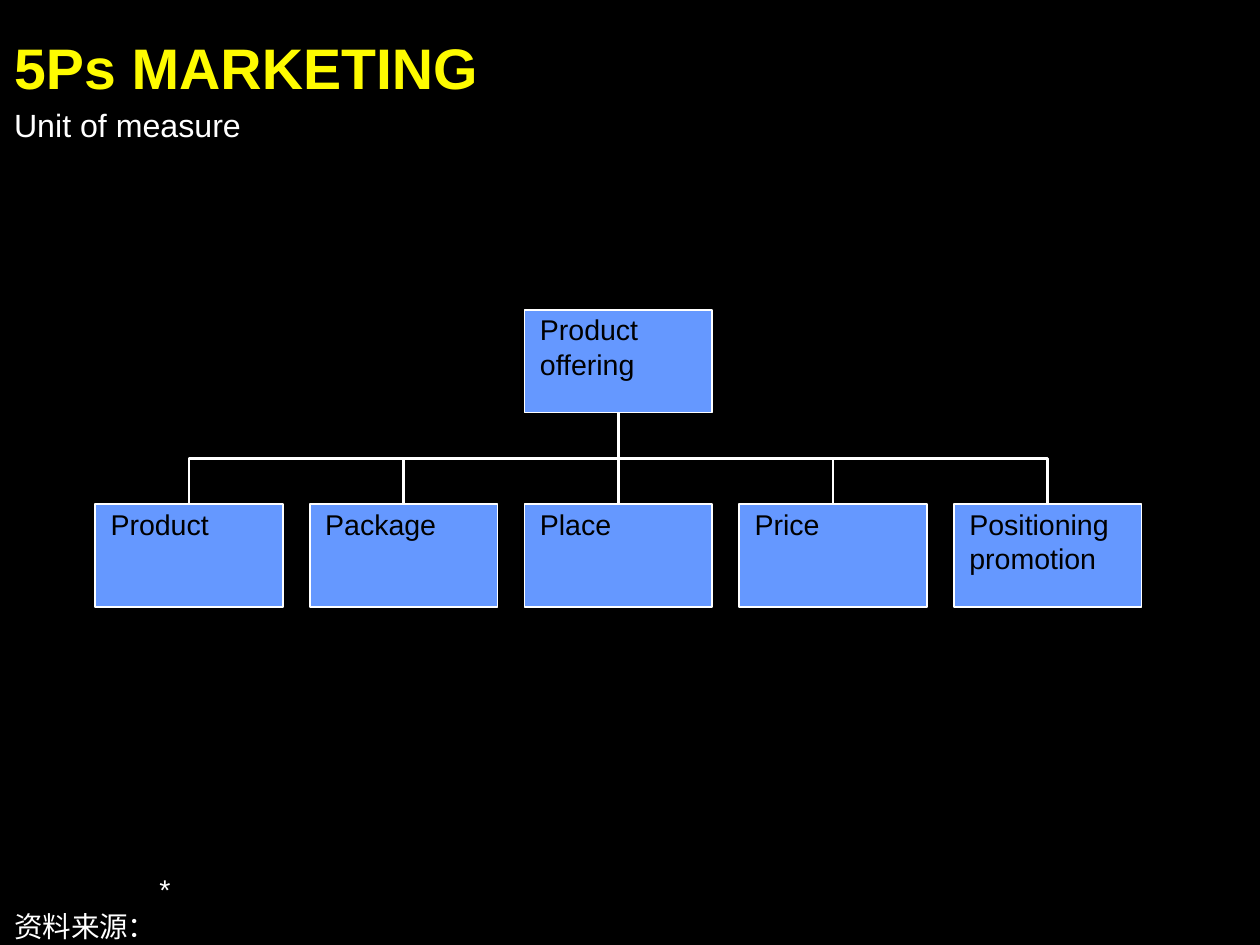
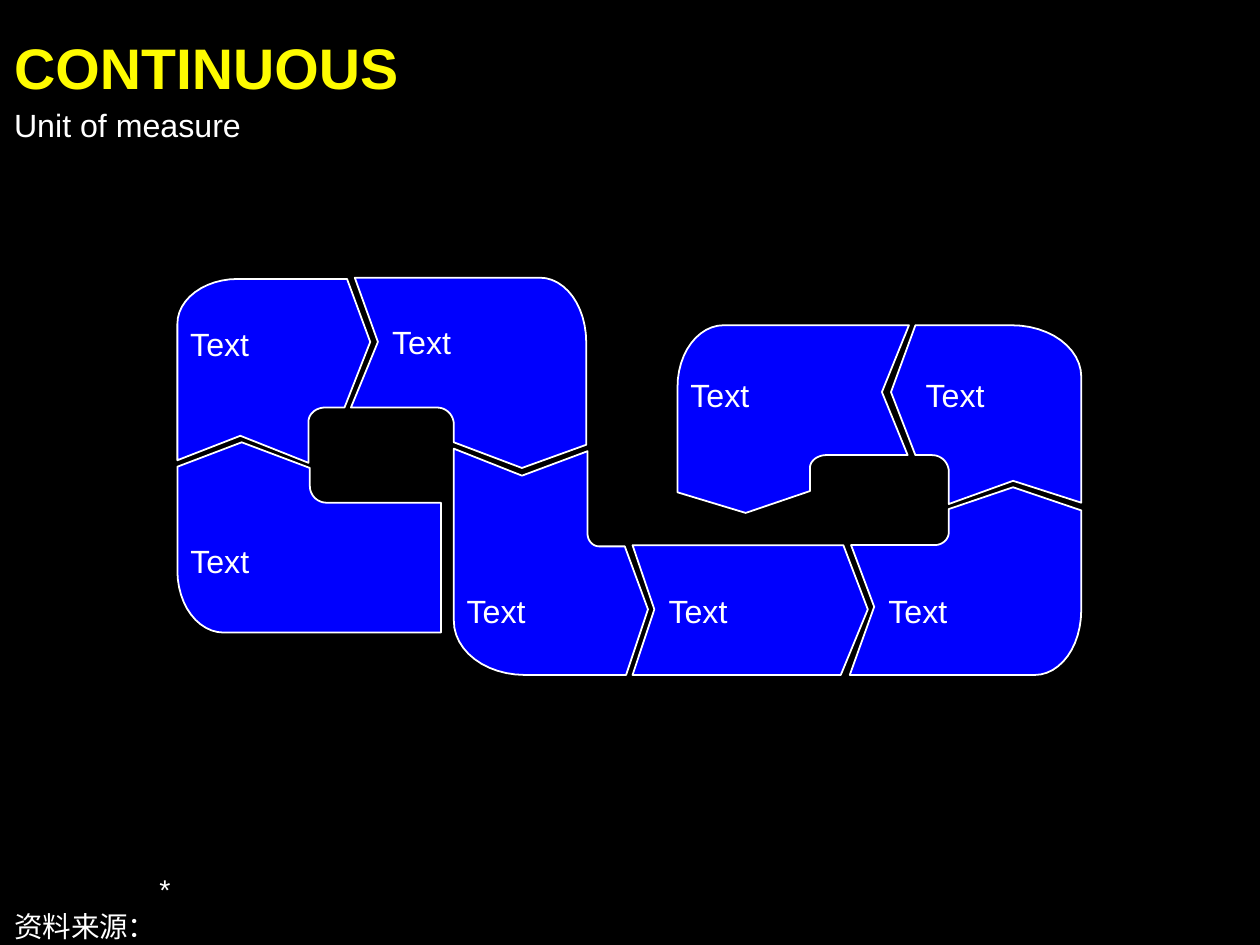
from dataclasses import dataclass
from math import cos, pi, sin

from lxml.etree import SubElement
from pptx import Presentation
from pptx.dml.color import RGBColor
from pptx.enum.shapes import MSO_CONNECTOR, MSO_SHAPE
from pptx.enum.text import MSO_ANCHOR, MSO_AUTO_SIZE, PP_ALIGN
from pptx.oxml.ns import qn
from pptx.util import Inches, Pt

COLORS = {
    "background": "000000",
    "title": "FEFB00",
    "text": "FFFFFF",
    "line": "FFFFFF",
    "box": "6598FF",
    "box text": "000000",
    "block": "0000FE",
}
FRAME = {
    "margin_left": 0,
    "margin_top": 0,
    "margin_right": 0,
    "margin_bottom": 0,
    "word_wrap": True,
    "vertical_anchor": MSO_ANCHOR.TOP,
    "auto_size": MSO_AUTO_SIZE.SHAPE_TO_FIT_TEXT,
}
BOX_FRAME = FRAME | {
    "margin_left": Inches(0.12),
    "margin_top": Inches(0.02),
    "margin_right": Inches(0.02),
    "margin_bottom": Inches(0.02),
    "auto_size": MSO_AUTO_SIZE.NONE,
}
FOOTER_INDENT = 1.13
FOOTER_TABS = ((0, "l"), (0.98, "r"))

BOX_WIDTH, BOX_HEIGHT = 1.46, 0.8
BOX_LEFT, BOX_PITCH = 0.74, 1.67
PARENT_TOP, CHILD_TOP = 2.41, 3.92
CHILDREN = ("Product", "Package", "Place", "Price", "Positioning promotion")


@dataclass(frozen=True)
class Vertex:
    """Outline point in inches; a radius pair rounds a right-angled corner."""
    x: float
    y: float
    radius_x: float = 0
    radius_y: float = 0


@dataclass(frozen=True)
class Block:
    label_left: float
    label_top: float
    outline: tuple[Vertex, ...]
    label_width: float = 1.28


BLOCKS = (
    Block(5.2, 4.6, (
        Vertex(4.92, 4.24), Vertex(6.56, 4.24), Vertex(6.75, 4.74),
        Vertex(6.54, 5.25), Vertex(4.92, 5.25), Vertex(5.09, 4.74))),
    Block(3.63, 4.6, (
        Vertex(3.53, 3.49), Vertex(4.06, 3.7), Vertex(4.57, 3.51),
        Vertex(4.57, 4.25, 0.09, 0.1), Vertex(4.86, 4.25), Vertex(5.04, 4.74),
        Vertex(4.87, 5.25), Vertex(3.53, 5.25, 0.55, 0.42))),
    Block(6.91, 4.6, (
        Vertex(6.62, 4.24), Vertex(7.38, 4.24, 0.11, 0.1), Vertex(7.38, 3.96),
        Vertex(7.88, 3.79), Vertex(8.41, 3.97), Vertex(8.41, 5.25, 0.36, 0.5),
        Vertex(6.61, 5.25), Vertex(6.8, 4.72))),
    Block(5.37, 2.92, (
        Vertex(7.07, 2.53), Vertex(6.86, 3.05), Vertex(7.06, 3.54),
        Vertex(6.3, 3.54, 0.13, 0.1), Vertex(6.3, 3.82), Vertex(5.8, 3.99),
        Vertex(5.27, 3.83), Vertex(5.27, 2.53, 0.36, 0.48))),
    Block(7.2, 2.92, (
        Vertex(7.12, 2.53), Vertex(6.93, 3.05), Vertex(7.12, 3.54),
        Vertex(7.38, 3.54, 0.13, 0.13), Vertex(7.38, 3.92), Vertex(7.88, 3.74),
        Vertex(8.41, 3.91), Vertex(8.41, 2.53, 0.54, 0.4)), 1.06),
    Block(3.05, 2.51, (
        Vertex(2.76, 2.16), Vertex(2.94, 2.66), Vertex(2.73, 3.17),
        Vertex(3.53, 3.17, 0.13, 0.13), Vertex(3.53, 3.44), Vertex(4.06, 3.64),
        Vertex(4.56, 3.46), Vertex(4.56, 2.16, 0.36, 0.5))),
    Block(1.48, 4.21, (
        Vertex(1.38, 3.63), Vertex(1.88, 3.44), Vertex(2.41, 3.64),
        Vertex(2.41, 3.91, 0.13, 0.13), Vertex(3.43, 3.91), Vertex(3.43, 4.92),
        Vertex(1.38, 4.92, 0.36, 0.48)), 1.58),
    Block(1.48, 2.52, (
        Vertex(1.38, 3.58), Vertex(1.87, 3.39), Vertex(2.4, 3.6),
        Vertex(2.4, 3.17, 0.13, 0.11), Vertex(2.68, 3.17), Vertex(2.88, 2.66),
        Vertex(2.7, 2.17), Vertex(1.38, 2.17, 0.47, 0.35)), 1),
)


def color(name: str) -> RGBColor:
    return RGBColor.from_string(COLORS[name])


def apply(target, formats: dict) -> None:
    for name, value in formats.items():
        setattr(target, name, value)


def place(shape, left: float, top: float, width: float, height: float) -> None:
    apply(shape, {"left": Inches(left), "top": Inches(top),
                  "width": Inches(width), "height": Inches(height)})


def write(para, text: str, size: int, color_name: str = "text", bold: bool = False) -> None:
    para.alignment = PP_ALIGN.LEFT
    span = para.add_run()
    span.text = text
    apply(span.font, {"name": "Arial", "size": Pt(size), "bold": bold})
    span.font.color.rgb = color(color_name)


def paint(shape, fill: str) -> None:
    shape.shadow.inherit = False
    shape.fill.solid()
    shape.fill.fore_color.rgb = color(fill)
    shape.line.color.rgb = color("line")
    shape.line.width = Pt(1)


def add_text(page, text: str, left: float, top: float, width: float,
             anchor=MSO_ANCHOR.TOP) -> None:
    box = page.shapes.add_textbox(Inches(left), Inches(top), Inches(width), Inches(0.3))
    apply(box.text_frame, FRAME | {"vertical_anchor": anchor})
    write(box.text_frame.paragraphs[0], text, 18)


def add_footer(page) -> None:
    box = page.shapes.add_textbox(Inches(0.11), Inches(6.78), Inches(9.42), Inches(0.56))
    frame = box.text_frame
    apply(frame, FRAME | {"vertical_anchor": MSO_ANCHOR.BOTTOM})
    for para, text in ((frame.paragraphs[0], "\t*"), (frame.add_paragraph(), "资料来源：")):
        para.space_after = Pt(2)
        properties = para._p.get_or_add_pPr()
        properties.set("marL", str(Inches(FOOTER_INDENT)))
        properties.set("indent", str(-Inches(FOOTER_INDENT)))
        tabs = SubElement(properties, qn("a:tabLst"))
        for position, alignment in FOOTER_TABS:
            SubElement(tabs, qn("a:tab"), pos=str(Inches(position)), algn=alignment)
        write(para, text, 16)


def add_page(deck, title_text: str):
    page = deck.slides.add_slide(deck.slide_layouts.get_by_name("Title Only"))
    title = page.shapes.title
    place(title, 0.11, 0.25, 9.51, 0.53)
    apply(title.text_frame, FRAME)
    write(title.text_frame.paragraphs[0], title_text, 32, "title", True)
    add_text(page, "Unit of measure", 0.11, 0.82, 7.24)
    add_footer(page)
    return page


def add_box(page, text: str, left: float, top: float):
    box = page.shapes.add_shape(MSO_SHAPE.RECTANGLE, Inches(left), Inches(top),
                                Inches(BOX_WIDTH), Inches(BOX_HEIGHT))
    paint(box, "box")
    apply(box.text_frame, BOX_FRAME)
    write(box.text_frame.paragraphs[0], text, 16, "box text")
    return box


def join(page, parent, child) -> None:
    """Link the parent's bottom to the child's top, with an elbow if they are offset."""
    across = child.left - parent.left
    kind = MSO_CONNECTOR.ELBOW if across else MSO_CONNECTOR.STRAIGHT
    link = page.shapes.add_connector(kind, 0, 0, 0, 0)
    link.begin_connect(parent, 2)
    link.end_connect(child, 0)
    link.line.color.rgb = color("line")
    link.line.width = Pt(1.5)
    properties = link._element.spPr
    SubElement(properties, qn("a:effectLst"))
    if across:
        start = parent.top + parent.height
        drop, reach = child.top - start, abs(across)
        middle_x = parent.left + parent.width // 2 + across // 2
        middle_y = start + drop // 2
        apply(link, {"left": middle_x - drop // 2, "top": middle_y - reach // 2,
                     "width": drop, "height": reach})
        transform = properties.find(qn("a:xfrm"))
        transform.set("rot", str((270 if across > 0 else 90) * 60000))
        transform.set("flipH", "1" if across > 0 else "0")


def trace(outline: tuple[Vertex, ...], steps: int = 12) -> list[tuple[int, int]]:
    """Turn vertices into points, with a quarter ellipse at each rounded corner."""
    points = []
    for index, corner in enumerate(outline):
        if not corner.radius_x:
            points.append((corner.x, corner.y))
            continue
        before, after = outline[index - 1], outline[(index + 1) % len(outline)]
        enters_upright = before.x == corner.x
        beside, above = (after, before) if enters_upright else (before, after)
        shift_x = corner.radius_x if beside.x > corner.x else -corner.radius_x
        shift_y = corner.radius_y if above.y > corner.y else -corner.radius_y
        for step in range(steps + 1):
            angle = pi / 2 * step / steps
            if not enters_upright:
                angle = pi / 2 - angle
            points.append((corner.x + shift_x * (1 - cos(angle)),
                           corner.y + shift_y * (1 - sin(angle))))
    return [(Inches(x), Inches(y)) for x, y in points]


def add_block(page, block: Block) -> None:
    first, *others = trace(block.outline)
    builder = page.shapes.build_freeform(*first)
    builder.add_line_segments(others, close=True)
    paint(builder.convert_to_shape(), "block")
    add_text(page, "Text", block.label_left, block.label_top, block.label_width,
             MSO_ANCHOR.MIDDLE)


def add_marketing_page(deck) -> None:
    page = add_page(deck, "5Ps MARKETING")
    parent_left = BOX_LEFT + BOX_PITCH * (len(CHILDREN) // 2)
    parent = add_box(page, "Product offering", parent_left, PARENT_TOP)
    for index, text in enumerate(CHILDREN):
        join(page, parent, add_box(page, text, BOX_LEFT + BOX_PITCH * index, CHILD_TOP))


def add_continuous_page(deck) -> None:
    page = add_page(deck, "CONTINUOUS")
    for block in BLOCKS:
        add_block(page, block)


def main() -> None:
    deck = Presentation()
    deck.slide_width, deck.slide_height = Inches(9.8), Inches(7.35)
    backdrop = deck.slide_master.background.fill
    backdrop.solid()
    backdrop.fore_color.rgb = color("background")
    add_marketing_page(deck)
    add_continuous_page(deck)
    deck.save("out.pptx")


if __name__ == "__main__":
    main()
